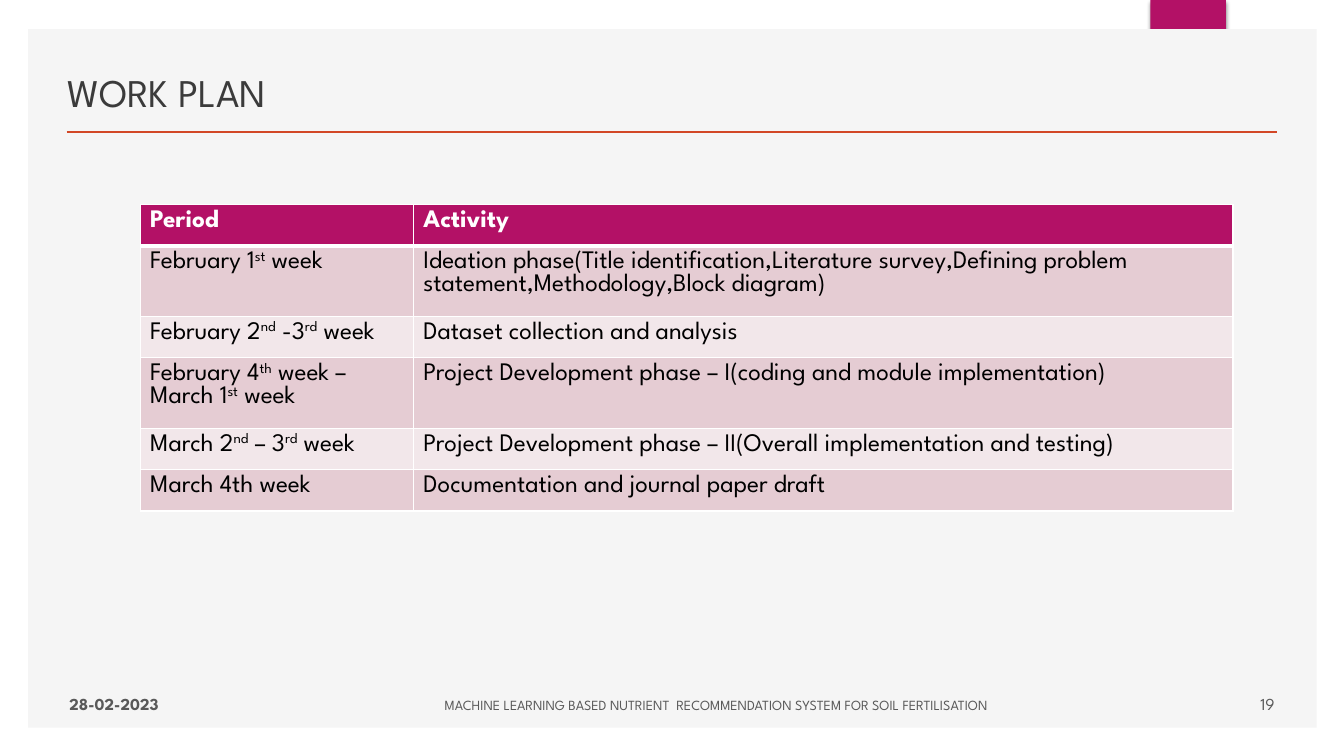
"""Builds the work plan slide with its schedule table."""
from lxml.etree import SubElement
from pptx import Presentation
from pptx.dml.color import RGBColor
from pptx.enum.shapes import MSO_CONNECTOR, MSO_SHAPE
from pptx.enum.text import MSO_ANCHOR, MSO_AUTO_SIZE, PP_ALIGN
from pptx.oxml import parse_xml
from pptx.oxml.ns import nsdecls, qn
from pptx.util import Pt

PX = 9144
FONT = "League Spartan"
COLORS = {
    "white": "FFFFFF",
    "black": "000000",
    "magenta": "B31166",
    "panel": "F5F5F5",
    "rule": "D24726",
    "title": "3B3B3B",
    "footer": "595959",
    "odd": "E5CCD3",
    "even": "F2E7EA",
}
PLAN = [
    ("Period", "Activity"),
    ("February 1^st^ week",
     "Ideation phase(Title identification,Literature survey,"
     "Defining problem statement,Methodology,Block diagram)"),
    ("February 2^nd^ -3^rd^ week", "Dataset collection and analysis"),
    ("February 4^th^ week – March 1^st^ week",
     "Project Development phase – I(coding and module implementation)"),
    ("March 2^nd^ – 3^rd^ week",
     "Project Development phase – II(Overall implementation and testing)"),
    ("March 4th week", "Documentation and journal paper draft"),
]


def px(*lengths):
    return [length * PX for length in lengths]


def rgb(name):
    return RGBColor.from_string(COLORS[name])


def style_span(span, size, color, bold=False):
    span.font.name = FONT
    span.font.size = Pt(size)
    span.font.bold = bold
    span.font.color.rgb = rgb(color)


def fill_frame(frame, text, size, color, bold=False, align=PP_ALIGN.LEFT):
    """Write text in one paragraph, raising the parts between carets."""
    para = frame.paragraphs[0]
    para.alignment = align
    for index, part in enumerate(text.split("^")):
        span = para.add_run()
        span.text = part
        style_span(span, size, color, bold)
        if index % 2:
            span.font._element.set("baseline", "30000")


def add_block(page, bounds, color):
    block = page.shapes.add_shape(MSO_SHAPE.RECTANGLE, *px(*bounds))
    block.shadow.inherit = False
    block.fill.solid()
    block.fill.fore_color.rgb = rgb(color)
    block.line.fill.background()
    return block


def add_soft_shadow(block):
    effects = block._element.spPr.find(qn("a:effectLst"))
    effects.append(parse_xml(
        f'<a:outerShdw {nsdecls("a")} blurRad="38100" dist="25400" dir="5400000" rotWithShape="0">'
        f'<a:srgbClr val="{COLORS["black"]}"><a:alpha val="45000"/></a:srgbClr></a:outerShdw>'))


def add_rule(page, left, right, top):
    rule = page.shapes.add_connector(MSO_CONNECTOR.STRAIGHT, *px(left, top, right, top))
    rule.line.color.rgb = rgb("rule")
    rule.line.width = Pt(2)
    SubElement(rule._element.spPr, qn("a:effectLst"))


def place_title(page, text, bounds):
    title = page.shapes.title
    title.left, title.top, title.width, title.height = px(*bounds)
    frame = title.text_frame
    frame.auto_size = MSO_AUTO_SIZE.NONE
    frame.vertical_anchor = MSO_ANCHOR.BOTTOM
    fill_frame(frame, text, 28, "title")
    page.shapes._spTree.append(title._element)


def add_footer(page, text, bounds, align, size=12, bold=False):
    frame = page.shapes.add_textbox(*px(*bounds)).text_frame
    frame.word_wrap = True
    frame.vertical_anchor = MSO_ANCHOR.MIDDLE
    fill_frame(frame, text, size, "footer", bold, align)


def add_borders(cell, widths):
    """Draw white borders, widths in points by side."""
    properties = cell._tc.get_or_add_tcPr()
    for index, (side, width) in enumerate(widths.items()):
        properties.insert(index, parse_xml(
            f'<a:ln{side} {nsdecls("a")} w="{Pt(width)}"><a:solidFill>'
            f'<a:srgbClr val="{COLORS["white"]}"/></a:solidFill></a:ln{side}>'))


def add_plan_table(page, left, top, columns, row_height):
    bounds = px(left, top, sum(columns), row_height * len(PLAN))
    table = page.shapes.add_table(len(PLAN), len(columns), *bounds).table
    for column, width in zip(table.columns, px(*columns)):
        column.width = width
    for row, texts in enumerate(PLAN):
        header = row == 0
        fill = "magenta" if header else ("odd" if row % 2 else "even")
        for column, text in enumerate(texts):
            cell = table.cell(row, column)
            cell.fill.solid()
            cell.fill.fore_color.rgb = rgb(fill)
            fill_frame(cell.text_frame, text, 18, "white" if header else "black", header)
            add_borders(cell, {"L": 1, "R": 1, "T": 3 if row == 1 else 1,
                               "B": 3 if header else 1})


def main():
    deck = Presentation()
    deck.slide_width, deck.slide_height = px(1333, 750)
    page = deck.slides.add_slide(deck.slide_layouts[5])
    add_soft_shadow(add_block(page, (1141, 0, 75, 125), "magenta"))
    add_block(page, (28, 29, 1278, 693), "panel")
    add_rule(page, 66, 1267, 131)
    place_title(page, "WORK PLAN", (57, 49, 752, 70))
    add_footer(page, "28-02-2023", (59, 678, 358, 40), PP_ALIGN.LEFT, bold=True)
    add_footer(page, "19", (916, 678, 358, 40), PP_ALIGN.RIGHT)
    add_plan_table(page, 139, 203, (271, 813), 41)
    add_footer(page, "MACHINE LEARNING BASED NUTRIENT  RECOMMENDATION SYSTEM FOR SOIL FERTILISATION",
               (391, 679, 638, 40), PP_ALIGN.CENTER, size=10)
    deck.save("out.pptx")


if __name__ == "__main__":
    main()
